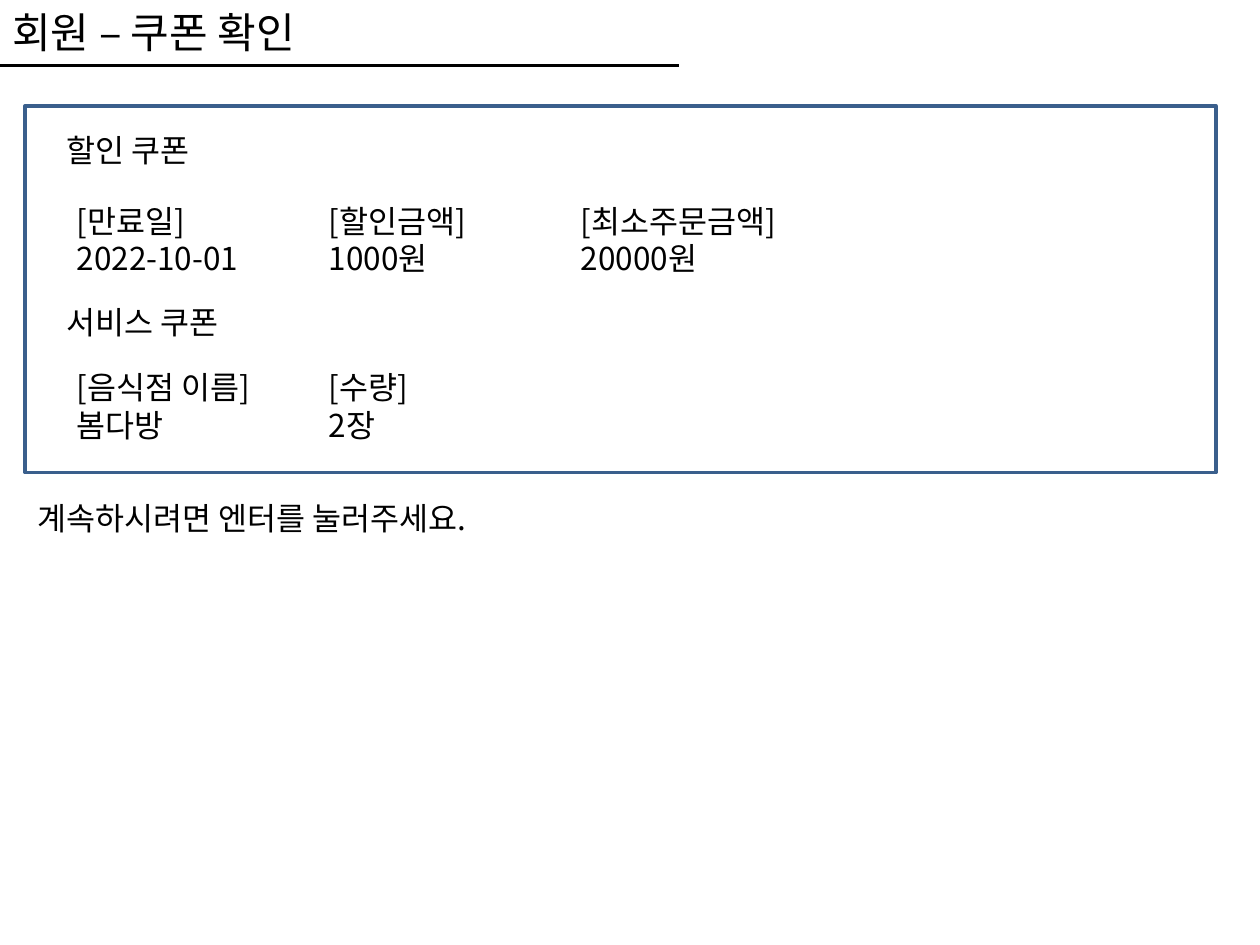
from dataclasses import dataclass

from lxml import etree
from pptx import Presentation
from pptx.dml.color import RGBColor
from pptx.enum.shapes import MSO_CONNECTOR, MSO_SHAPE
from pptx.enum.text import MSO_AUTO_SIZE
from pptx.oxml.ns import qn
from pptx.util import Inches, Pt

RECT = MSO_SHAPE.RECTANGLE
STRAIGHT = MSO_CONNECTOR.STRAIGHT
FIT_SHAPE = MSO_AUTO_SIZE.SHAPE_TO_FIT_TEXT

FONT = "Noto Sans CJK KR"
COLORS = {"text": "000000", "frame": "3A5F8C"}
COLUMN_STOPS = (2, 4)


@dataclass
class Label:
    left: float
    top: float
    width: float
    height: float
    rows: tuple[tuple[str, ...], ...]
    size: int = 18
    wrap: bool = True


LABELS = [
    Label(0, 0, 2.83, 0.5, (("회원 – 쿠폰 확인",),), size=24),
    Label(0.43, 0.99, 3.78, 0.4, (("할인 쿠폰",),)),
    Label(0.51, 1.55, 10.71, 0.71, (
        ("[만료일]", "[할인금액]", "[최소주문금액]"),
        ("2022-10-01", "1000원", "20000원"),
    )),
    Label(0.43, 2.36, 3.78, 0.4, (("서비스 쿠폰",),)),
    Label(0.51, 2.87, 10.71, 0.71, (
        ("[음식점 이름]", "[수량]"),
        ("봄다방", "2장"),
    )),
    Label(0.2, 3.91, 3.97, 0.4, (("계속하시려면 엔터를 눌러주세요.",),), wrap=False),
]


def color(name: str) -> RGBColor:
    return RGBColor.from_string(COLORS[name])


def add_tab_stops(p) -> None:
    tabs = etree.SubElement(p._p.get_or_add_pPr(), qn("a:tabLst"))
    for stop in COLUMN_STOPS:
        etree.SubElement(tabs, qn("a:tab"), pos=str(Inches(stop)), algn="l")


def add_label(s, label: Label) -> None:
    """Add a text box whose row cells are separated by tab stops."""
    box = s.shapes.add_textbox(Inches(label.left), Inches(label.top),
                               Inches(label.width), Inches(label.height))
    tf = box.text_frame
    tf.word_wrap = label.wrap
    tf.auto_size = FIT_SHAPE
    for i, cells in enumerate(label.rows):
        p = tf.add_paragraph() if i else tf.paragraphs[0]
        if len(cells) > 1:
            add_tab_stops(p)
        r = p.add_run()
        r.text = "\t".join(cells)
        r.font.size = Pt(label.size)
        r.font.name = FONT
        r.font.color.rgb = color("text")
        etree.SubElement(r._r.get_or_add_rPr(), qn("a:ea"), typeface=FONT)


def add_title_rule(s) -> None:
    rule = s.shapes.add_connector(STRAIGHT, Inches(0), Inches(0.52),
                                  Inches(5.39), Inches(0.52))
    rule.line.color.rgb = color("text")
    rule.line.width = Pt(1.75)
    etree.SubElement(rule._element.spPr, qn("a:effectLst"))


def add_coupon_frame(s) -> None:
    frame = s.shapes.add_shape(RECT, Inches(0.2), Inches(0.84),
                               Inches(9.45), Inches(2.91))
    frame.shadow.inherit = False
    frame.fill.background()
    frame.line.color.rgb = color("frame")
    frame.line.width = Pt(2)


def main() -> None:
    prs = Presentation()
    prs.slide_width, prs.slide_height = Inches(10), Inches(7.5)
    s = prs.slides.add_slide(prs.slide_layouts[6])
    add_title_rule(s)
    add_coupon_frame(s)
    for label in LABELS:
        add_label(s, label)
    prs.save("out.pptx")


if __name__ == "__main__":
    main()
